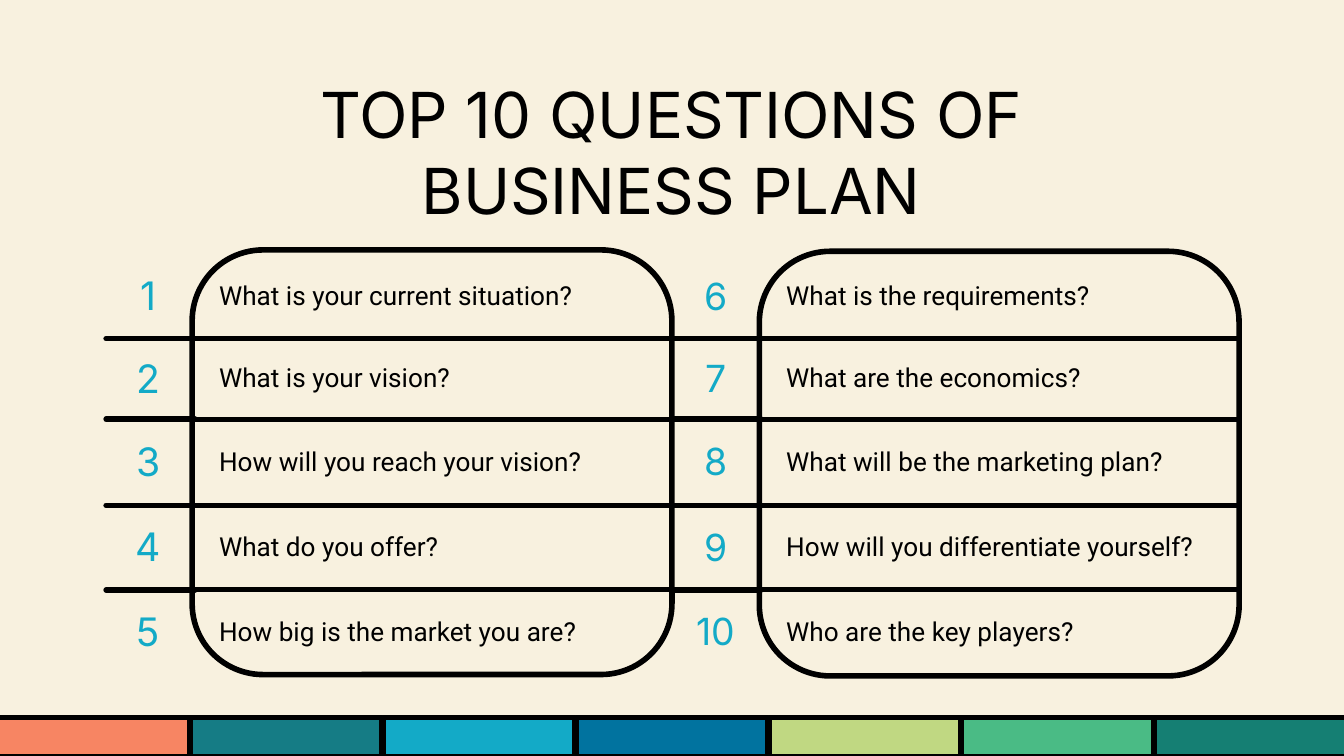
from itertools import accumulate

from lxml import etree
from pptx import Presentation
from pptx import util as u
from pptx.dml.color import RGBColor
from pptx.enum import shapes, text
from pptx.oxml import ns

COLORS = {
    "paper": "F8F1DF", "ink": "000000", "number": "13AAC7",
    "coral": "F78563", "teal": "157C85", "cyan": "13AAC7", "blue": "01739F",
    "lime": "C0D882", "green": "4ABB85", "pine": "157F73",
}
BAND = ["coral", "teal", "cyan", "blue", "lime", "green", "pine"]
QUESTIONS = [
    "What is your current situation?",
    "What is your vision?",
    "How will you reach your vision?",
    "What do you offer?",
    "How big is the market you are?",
    "What is the requirements?",
    "What are the economics?",
    "What will be the marketing plan?",
    "How will you differentiate yourself?",
    "Who are the key players?",
]
PAGE_WIDTH = 10
PAGE_HEIGHT = PAGE_WIDTH * 9 / 16
LEFT, TOP = 0.78, 1.89
NUMBER_WIDTH, QUESTION_WIDTH = 0.65, 3.57
GROUP_WIDTH = NUMBER_WIDTH + QUESTION_WIDTH
ROW_HEIGHTS = [0.63, 0.6, 0.64, 0.63, 0.63]
STROKE = u.Pt(3)
NO_STYLE = "{2D5ABB26-0587-4C30-8999-92F81FD0307C}"


def rgb(name):
    return RGBColor.from_string(COLORS[name])


def inches(*values):
    return [u.Inches(value) for value in values]


def add_box(page, kind, place, fill=None):
    """Outlined preset shape, filled only when a colour is named."""
    box = page.shapes.add_shape(kind, *inches(*place))
    box.shadow.inherit = False
    box.line.color.rgb = rgb("ink")
    box.line.width = STROKE
    if fill:
        box.fill.solid()
        box.fill.fore_color.rgb = rgb(fill)
    else:
        box.fill.background()
    return box


def add_span(para, words, size, font, color, align):
    para.alignment = align
    span = para.add_run()
    span.text = words
    span.font.size = u.Pt(size)
    span.font.name = font
    span.font.color.rgb = rgb(color)


def add_title(page):
    box = page.shapes.add_textbox(*inches(1.48, 0.46, 7.03, 1.25))
    frame = box.text_frame
    frame.word_wrap = True
    frame.margin_left = frame.margin_right = u.Inches(0.1)
    frame.margin_top = frame.margin_bottom = u.Inches(0.1)
    add_span(frame.paragraphs[0], "TOP 10 QUESTIONS OF BUSINESS PLAN",
             34, "Inter", "ink", text.PP_ALIGN.CENTER)


def add_border(cell, side):
    properties = cell._tc.get_or_add_tcPr()
    line = etree.SubElement(properties, ns.qn(f"a:ln{side}"), w=str(STROKE))
    fill = etree.SubElement(line, ns.qn("a:solidFill"))
    etree.SubElement(fill, ns.qn("a:srgbClr"), val=COLORS["ink"])


def fill_cell(cell, words, size, font, color, align, indent, sides=""):
    for side in sides:
        add_border(cell, side)
    cell.fill.background()
    cell.vertical_anchor = text.MSO_ANCHOR.MIDDLE
    cell.margin_left = u.Inches(indent)
    cell.margin_right = cell.margin_top = cell.margin_bottom = u.Inches(0.1)
    add_span(cell.text_frame.paragraphs[0], words, size, font, color, align)


def add_questions(page):
    rows = len(ROW_HEIGHTS)
    place = inches(LEFT, TOP, 2 * GROUP_WIDTH, sum(ROW_HEIGHTS))
    table = page.shapes.add_table(rows, 4, *place).table
    table.first_row = table.horz_banding = False
    table._tbl.tblPr.find(ns.qn("a:tableStyleId")).text = NO_STYLE
    for column, width in zip(table.columns, [NUMBER_WIDTH, QUESTION_WIDTH] * 2):
        column.width = u.Inches(width)
    for row, height in zip(table.rows, ROW_HEIGHTS):
        row.height = u.Inches(height)

    for index, question in enumerate(QUESTIONS):
        group, row = divmod(index, rows)
        sides = ("T" if row > 0 else "") + ("B" if row < rows - 1 else "")
        fill_cell(table.cell(row, 2 * group), str(index + 1), 21 - group,
                  "Inter", "number", text.PP_ALIGN.CENTER, 0.1)
        fill_cell(table.cell(row, 2 * group + 1), question, 14,
                  "Roboto", "ink", text.PP_ALIGN.LEFT, 0.2, sides)


def add_rule(page, x, y, width):
    rule = page.shapes.add_connector(
        shapes.MSO_CONNECTOR.STRAIGHT, *inches(x, y, x + width, y))
    rule.line.color.rgb = rgb("ink")
    rule.line.width = STROKE
    rule.line._get_or_add_ln().set("cap", "rnd")
    etree.SubElement(rule._element.spPr, ns.qn("a:effectLst"))


def main():
    deck = Presentation()
    deck.slide_width, deck.slide_height = inches(PAGE_WIDTH, PAGE_HEIGHT)
    page = deck.slides.add_slide(deck.slide_layouts[6])
    page.background.fill.solid()
    page.background.fill.fore_color.rgb = rgb("paper")

    # Colour band along the bottom
    for index, color in enumerate(BAND):
        add_box(page, shapes.MSO_SHAPE.RECTANGLE,
                (-0.02 + index * 1.435, 5.34, 1.43, 0.29), color)

    # Rounded frames behind the two question columns
    for x, y in [(5.65, 1.87), (1.43, 1.86)]:
        frame = add_box(page, shapes.MSO_SHAPE.ROUNDED_RECTANGLE,
                        (x, y, QUESTION_WIDTH, 3.16))
        frame.adjustments[0] = 0.167

    add_title(page)
    add_questions(page)

    # Rules between the numbers
    for x in (0.79, 5):
        for offset in accumulate(ROW_HEIGHTS[:-1]):
            add_rule(page, x, TOP + offset, 0.66)

    deck.save("out.pptx")


if __name__ == "__main__":
    main()
